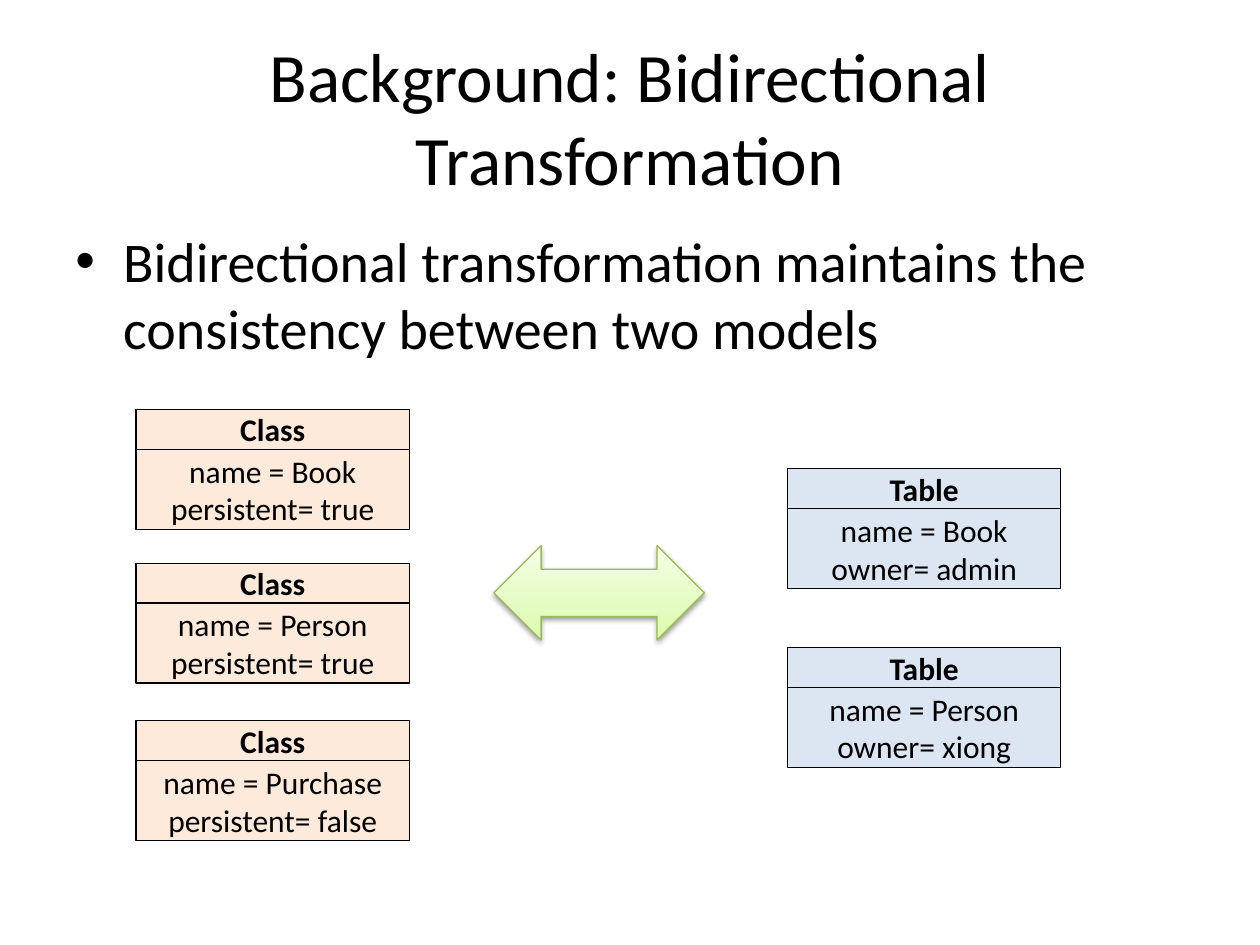
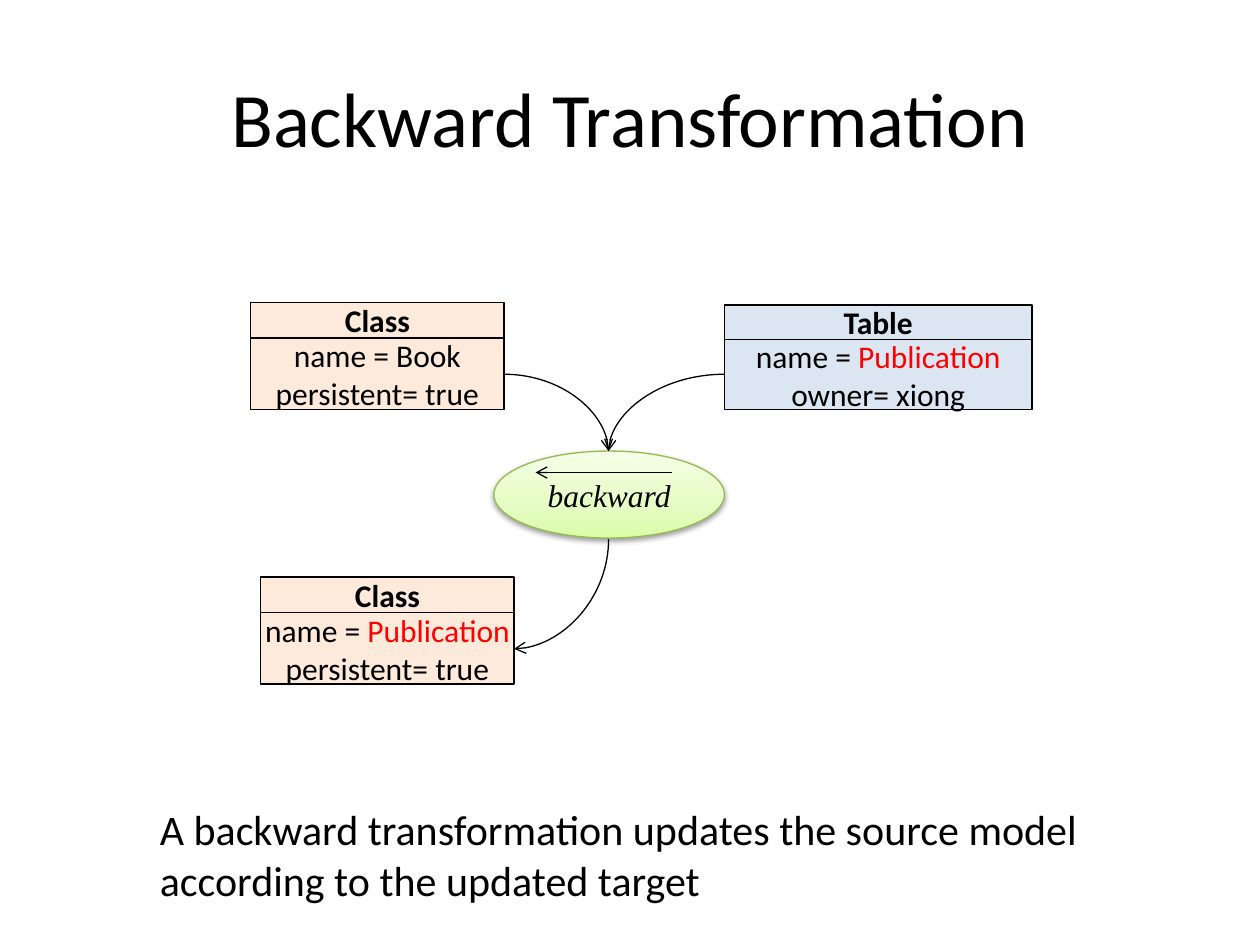
from lxml import etree
from pptx import Presentation
from pptx.dml.color import RGBColor
from pptx.enum.shapes import MSO_CONNECTOR, MSO_SHAPE
from pptx.enum.text import MSO_ANCHOR, MSO_AUTO_SIZE, PP_ALIGN
from pptx.oxml import parse_xml
from pptx.oxml.ns import nsdecls, qn
from pptx.util import Inches, Pt

RECTANGLE = MSO_SHAPE.RECTANGLE
OVAL = MSO_SHAPE.OVAL
DOUBLE_ARROW = MSO_SHAPE.LEFT_RIGHT_ARROW
STRAIGHT = MSO_CONNECTOR.STRAIGHT
CURVE = MSO_CONNECTOR.CURVE
MIDDLE = MSO_ANCHOR.MIDDLE
TOP = MSO_ANCHOR.TOP
GROW = MSO_AUTO_SIZE.SHAPE_TO_FIT_TEXT
CENTER = PP_ALIGN.CENTER
LEFT = PP_ALIGN.LEFT

BLACK = RGBColor(0x00, 0x00, 0x00)
RED = RGBColor(0xFF, 0x00, 0x00)
PEACH = RGBColor(0xFD, 0xEA, 0xDA)
PALE_BLUE = RGBColor(0xDC, 0xE6, 0xF2)
OLIVE = RGBColor(0x98, 0xB9, 0x55)
GREEN_STOPS = (
    (0, RGBColor(0xDA, 0xFD, 0xA7)),
    (35, RGBColor(0xE4, 0xFC, 0xC2)),
    (100, RGBColor(0xF5, 0xFF, 0xE7)),
)
MODEL_FILLS = {"Class": PEACH, "Table": PALE_BLUE}

BODY_FONT = "Calibri"
MATH_FONT = "Times New Roman"
LINE_WIDTH = Pt(0.75)
RENAMED = [("name = ", BLACK), ("Publication", RED)]


def inches(*lengths):
    return [Inches(length) for length in lengths]


def write(shape, lines, size, align=LEFT, anchor=TOP, wrap=True, **font_format):
    frame = shape.text_frame
    frame.word_wrap = wrap
    frame.vertical_anchor = anchor
    font_values = {"name": BODY_FONT, "size": Pt(size), **font_format}
    for index, line in enumerate(lines):
        paragraph = frame.add_paragraph() if index else frame.paragraphs[0]
        paragraph.alignment = align
        for words, color in [(line, BLACK)] if isinstance(line, str) else line:
            run = paragraph.add_run()
            run.text = words
            for attribute, value in font_values.items():
                setattr(run.font, attribute, value)
            run.font.color.rgb = color
    return frame


def outline(shape, color=BLACK):
    shape.line.color.rgb = color
    shape.line.width = LINE_WIDTH


def add_title(slide, title, size=44):
    box = slide.shapes.add_textbox(*inches(0.5, 0.3, 9, 1.25))
    write(box, [title], size, CENTER, MIDDLE)


def add_bullet(slide, box, sentence):
    frame = write(slide.shapes.add_textbox(*inches(*box)), [sentence], 32)
    properties = frame.paragraphs[0]._p.get_or_add_pPr()
    properties.set("marL", str(Inches(0.38)))
    properties.set("indent", str(-Inches(0.38)))
    etree.SubElement(properties, qn("a:buFont")).set("typeface", "Arial")
    etree.SubElement(properties, qn("a:buChar")).set("char", "•")


def add_model(slide, box, kind, fields):
    left, top, width, height = box
    header = height / 3
    group = slide.shapes.add_group_shape()
    rows = (
        (top, header, [kind], True),
        (top + header, height - header, fields, False),
    )
    for row_top, row_height, lines, bold in rows:
        row = group.shapes.add_shape(
            RECTANGLE, *inches(left, row_top, width, row_height))
        row.shadow.inherit = False
        row.fill.solid()
        row.fill.fore_color.rgb = MODEL_FILLS[kind]
        outline(row)
        write(row, lines, 18, CENTER, MIDDLE, wrap=False, bold=bold)


def add_green_shape(slide, preset, box):
    shape = slide.shapes.add_shape(preset, *inches(*box))
    outline(shape, OLIVE)
    shape.shadow.inherit = False
    stops = "".join(
        f'<a:gs pos="{percent * 1000}"><a:srgbClr val="{color}"/></a:gs>'
        for percent, color in GREEN_STOPS)
    properties = shape._element.spPr
    properties.find(qn("a:ln")).addprevious(parse_xml(
        f'<a:gradFill {nsdecls("a")} rotWithShape="1"><a:gsLst>{stops}</a:gsLst>'
        '<a:lin ang="16200000" scaled="0"/></a:gradFill>'))
    properties.find(qn("a:effectLst")).append(parse_xml(
        f'<a:outerShdw {nsdecls("a")} blurRad="40000" dist="20000" dir="5400000" '
        f'rotWithShape="0"><a:srgbClr val="{BLACK}"><a:alpha val="38000"/>'
        '</a:srgbClr></a:outerShdw>'))
    return shape


def add_arrow(slide, start, end, kind=STRAIGHT, quarter_turn=False):
    if quarter_turn:
        middle_x, middle_y = ((a + b) / 2 for a, b in zip(start, end))
        half_height, half_width = (abs(a - b) / 2 for a, b in zip(start, end))
        start = middle_x - half_width, middle_y - half_height
        end = middle_x + half_width, middle_y + half_height
    arrow = slide.shapes.add_connector(kind, *inches(*start, *end))
    outline(arrow)
    properties = arrow._element.spPr
    if kind == CURVE:
        properties.find(qn("a:prstGeom")).set("prst", "curvedConnector2")
    if quarter_turn:
        properties.find(qn("a:xfrm")).set("rot", "5400000")
    etree.SubElement(properties.find(qn("a:ln")), qn("a:tailEnd")).set("type", "arrow")
    etree.SubElement(properties, qn("a:effectLst"))


def build_background(slide):
    add_title(slide, "Background: Bidirectional Transformation", 39.6)
    add_bullet(slide, (0.5, 1.75, 9, 4.95),
               "Bidirectional transformation maintains the consistency "
               "between two models")
    models = (
        (1.08, 3.25, "Class", ["name = Book", "persistent= true"]),
        (1.08, 4.47, "Class", ["name = Person", "persistent= true"]),
        (1.08, 5.72, "Class", ["name = Purchase", "persistent= false"]),
        (6.25, 3.72, "Table", ["name = Book", "owner= admin"]),
        (6.25, 5.14, "Table", ["name = Person", "owner= xiong"]),
    )
    for left, top, kind, fields in models:
        add_model(slide, (left, top, 2.17, 0.95), kind, fields)
    add_green_shape(slide, DOUBLE_ARROW, (3.92, 4.33, 1.67, 0.75))


def build_backward(slide):
    add_title(slide, "Backward Transformation")
    add_model(slide, (1.99, 2.4, 2.01, 0.85), "Class",
              ["name = Book", "persistent= true"])
    add_model(slide, (5.75, 2.42, 2.44, 0.83), "Table",
              [RENAMED, "owner= xiong"])
    add_model(slide, (2.07, 4.58, 2.01, 0.85), "Class",
              [RENAMED, "persistent= true"])

    summary = slide.shapes.add_textbox(*inches(1.17, 6.33, 7.75, 0.91))
    write(summary, ["A backward transformation updates the source model "
                    "according to the updated target"], 24).auto_size = GROW

    backward = add_green_shape(slide, OVAL, (3.92, 3.58, 1.83, 0.69))
    write(backward, ["backward"], 18, CENTER, MIDDLE, name=MATH_FONT, italic=True)
    add_arrow(slide, (5.33, 3.75), (4.25, 3.75))
    for model_side in ((5.75, 2.97), (4, 2.97)):
        add_arrow(slide, model_side, (4.83, 3.58), CURVE)
    add_arrow(slide, (4.83, 4.28), (4.08, 5.15), CURVE, quarter_turn=True)


def main():
    presentation = Presentation()
    presentation.slide_width = Inches(10)
    presentation.slide_height = Inches(7.5)
    blank = presentation.slide_layouts[6]
    for build in (build_background, build_backward):
        build(presentation.slides.add_slide(blank))
    presentation.save("out.pptx")


if __name__ == "__main__":
    main()
